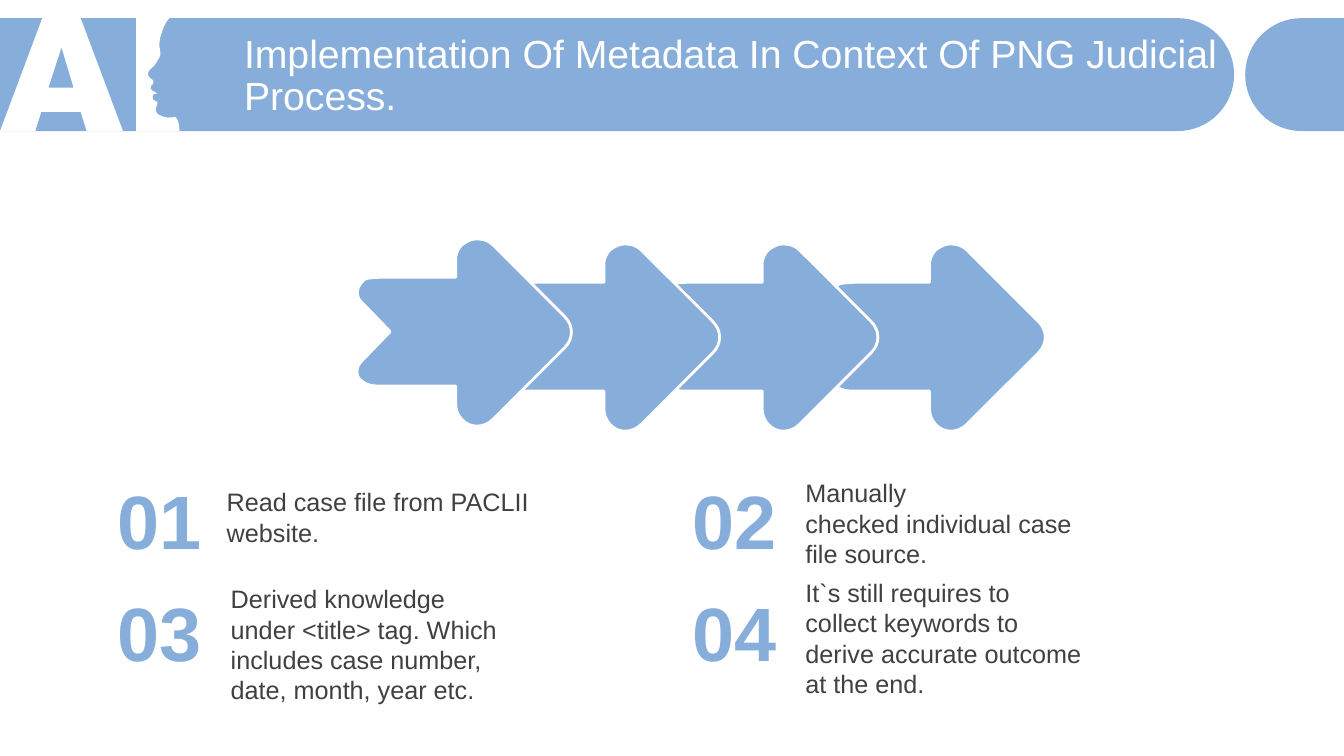
from pptx import Presentation
from pptx.dml.color import RGBColor
from pptx.enum.text import MSO_ANCHOR, MSO_AUTO_SIZE, PP_ALIGN
from pptx.oxml.ns import qn
from pptx.util import Inches, Pt

LEFT, RIGHT = PP_ALIGN.LEFT, PP_ALIGN.RIGHT
TOP, MIDDLE = MSO_ANCHOR.TOP, MSO_ANCHOR.MIDDLE
NO_FIT = MSO_AUTO_SIZE.NONE
BLUE, WHITE, GRAY = "87ADDB", "FFFFFF", "404040"
NBSP = chr(160)


def add_text(sp, text, box, size, color, bold=False, align=LEFT,
             anchor=TOP, inset=(0.1, 0.05), spacing=1.0):
    sp.left, sp.top, sp.width, sp.height = [Inches(v) for v in box]
    tf = sp.text_frame
    tf.word_wrap = True
    tf.auto_size = NO_FIT
    tf.vertical_anchor = anchor
    tf.margin_left = tf.margin_right = Inches(inset[0])
    tf.margin_top = tf.margin_bottom = Inches(inset[1])
    p = tf.paragraphs[0]
    p.alignment = align
    p.line_spacing = spacing
    p.space_before = Pt(0)
    r = p.add_run()
    r.text = text
    r.font.name = "Arial"
    r.font.size = Pt(size)
    r.font.bold = bold
    r.font.color.rgb = RGBColor.from_string(color)


def add_outline(contours, color, line=None, dx=0, dy=0):
    builder = None
    for contour in contours:
        points = [(Inches(seg[i] + dx), Inches(seg[i + 1] + dy))
                  for seg in contour for i in range(0, len(seg), 2)]
        if builder is None:
            builder = s.shapes.build_freeform(*points[0])
        else:
            builder.move_to(*points[0])
        builder.add_line_segments(points[1:], close=True)
    sp = builder.convert_to_shape()
    lines = iter(list(sp._element.iter(qn("a:lnTo"))))
    for contour in contours:
        for seg in contour[1:]:
            curve = next(lines)
            if len(seg) == 6:
                curve.tag = qn("a:cubicBezTo")
                for extra in (next(lines), next(lines)):
                    curve.append(extra[0])
                    extra.getparent().remove(extra)
    sp.shadow.inherit = False
    sp.fill.solid()
    sp.fill.fore_color.rgb = RGBColor.from_string(color)
    if line:
        sp.line.color.rgb = RGBColor.from_string(line)
        sp.line.width = Pt(2)
    else:
        sp.line.fill.background()


prs = Presentation()
prs.slide_width, prs.slide_height = Inches(13.33), Inches(7.5)
s = prs.slides.add_slide(prs.slide_layouts[5])

banner = [(0, 0.18), (11.68, 0.18), (11.99, 0.18, 12.24, 0.43, 12.24, 0.74),
          (12.24, 1.05, 11.99, 1.3, 11.68, 1.3), (0, 1.3)]
banner_end = [(12.91, 0.18), (13.33, 0.18), (13.33, 1.3), (12.91, 1.3),
              (12.6, 1.3, 12.35, 1.05, 12.35, 0.74),
              (12.35, 0.43, 12.6, 0.18, 12.91, 0.18)]
letter = [(0.42, 0.18), (0.8, 0.18), (1.22, 1.3), (0.86, 1.3), (0.8, 1.11),
          (0.41, 1.11), (0.35, 1.3), (0, 1.3)]
letter_hole = [(0.61, 0.47), (0.48, 0.87), (0.73, 0.87)]
profile = [(1.35, 0.18), (1.68, 0.18), (1.66, 0.2, 1.62, 0.26, 1.61, 0.31),
           (1.59, 0.37), (1.58, 0.42, 1.58, 0.45, 1.58, 0.46),
           (1.59, 0.48, 1.59, 0.51, 1.59, 0.55), (1.58, 0.57),
           (1.57, 0.59, 1.53, 0.66, 1.51, 0.67),
           (1.48, 0.69, 1.46, 0.73, 1.47, 0.75),
           (1.48, 0.77, 1.5, 0.78, 1.51, 0.79),
           (1.52, 0.79, 1.53, 0.81, 1.52, 0.83),
           (1.52, 0.84, 1.5, 0.84, 1.5, 0.85),
           (1.49, 0.87, 1.49, 0.89, 1.51, 0.9),
           (1.53, 0.91, 1.56, 0.92, 1.56, 0.93),
           (1.56, 0.93, 1.52, 0.93, 1.52, 0.94),
           (1.51, 0.95, 1.51, 0.97, 1.52, 0.99),
           (1.52, 1, 1.55, 1, 1.56, 1.01),
           (1.57, 1.03, 1.56, 1.03, 1.55, 1.06),
           (1.54, 1.09, 1.54, 1.13, 1.6, 1.15),
           (1.64, 1.17, 1.68, 1.17, 1.74, 1.16),
           (1.76, 1.18, 1.78, 1.22, 1.78, 1.3), (1.35, 1.3)]
add_outline([banner], BLUE)
add_outline([letter, letter_hole, profile], WHITE)
add_outline([banner_end], BLUE)

arrow = [(4.72, 2.37), (4.78, 2.37, 4.84, 2.38, 4.89, 2.43), (5.6, 3.14),
         (5.69, 3.23, 5.69, 3.36, 5.6, 3.45), (4.89, 4.16),
         (4.8, 4.25, 4.66, 4.25, 4.58, 4.16),
         (4.54, 4.12, 4.52, 4.06, 4.52, 4.01), (4.52, 3.83), (3.78, 3.83),
         (3.71, 3.83, 3.65, 3.83, 3.59, 3.78),
         (3.52, 3.74, 3.53, 3.63, 3.59, 3.58), (3.87, 3.29), (3.59, 3),
         (3.53, 2.95, 3.53, 2.86, 3.59, 2.8),
         (3.62, 2.76, 3.61, 2.76, 3.78, 2.75), (4.52, 2.75), (4.52, 2.55),
         (4.53, 2.5, 4.55, 2.46, 4.58, 2.43),
         (4.62, 2.4, 4.67, 2.37, 4.72, 2.37)]
for dx, dy in [(4.7, 0.05), (3.04, 0.05), (1.47, 0.05), (0, 0)]:
    add_outline([arrow], BLUE, line=WHITE, dx=dx, dy=dy)

title = s.shapes.title
s.shapes._spTree.append(title._element)
add_text(title, "Implementation Of Metadata In Context Of PNG Judicial Process.",
         (2.32, 0.37, 10.69, 0.79), 28, WHITE, anchor=MIDDLE, spacing=0.9)

steps = [
    ("Read case file from PACLII website.", (2.15, 4.78, 4.05, 0.71)),
    (f"Manually checked{NBSP}individual case file source.", (7.89, 4.69, 3, 1.01)),
    ("Derived knowledge under <title> tag. Which includes case number, "
     "date, month, year etc.", (2.19, 5.74, 3, 1.31)),
    ("It`s still requires to collect keywords to derive accurate outcome "
     "at the end.", (7.89, 5.68, 3, 1.31)),
]
for i, (text, box) in enumerate(steps):
    row, col = divmod(i, 2)
    number_box = (1.06 + 5.7 * col, 4.7 + 1.11 * row, 0.94, 0.91)
    add_text(s.shapes.add_textbox(0, 0, 0, 0), f"{i + 1:02}", number_box, 54, BLUE,
             bold=True, align=RIGHT, anchor=MIDDLE, inset=(0, 0))
    add_text(s.shapes.add_textbox(0, 0, 0, 0), text, box, 18, GRAY)

prs.save("out.pptx")
